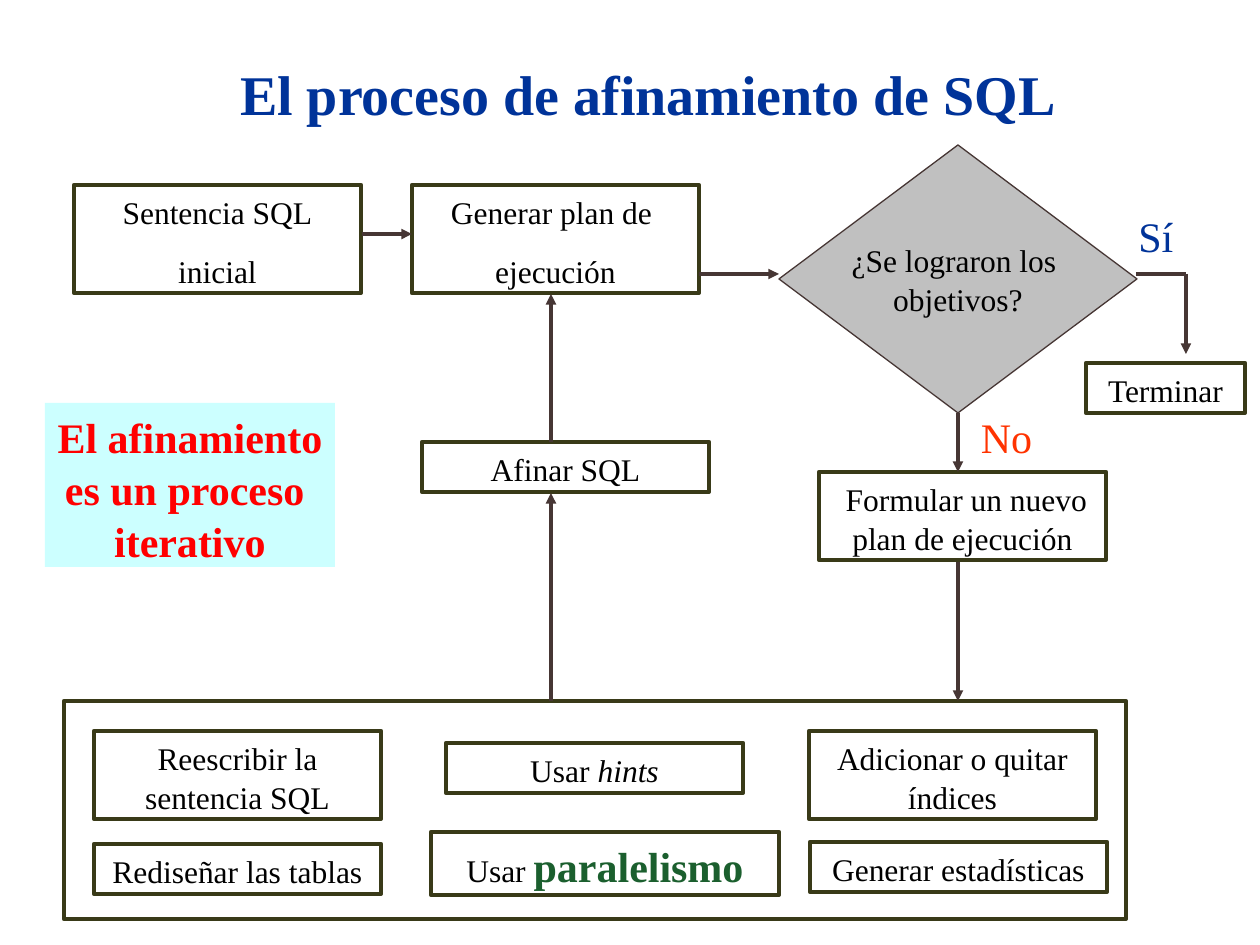
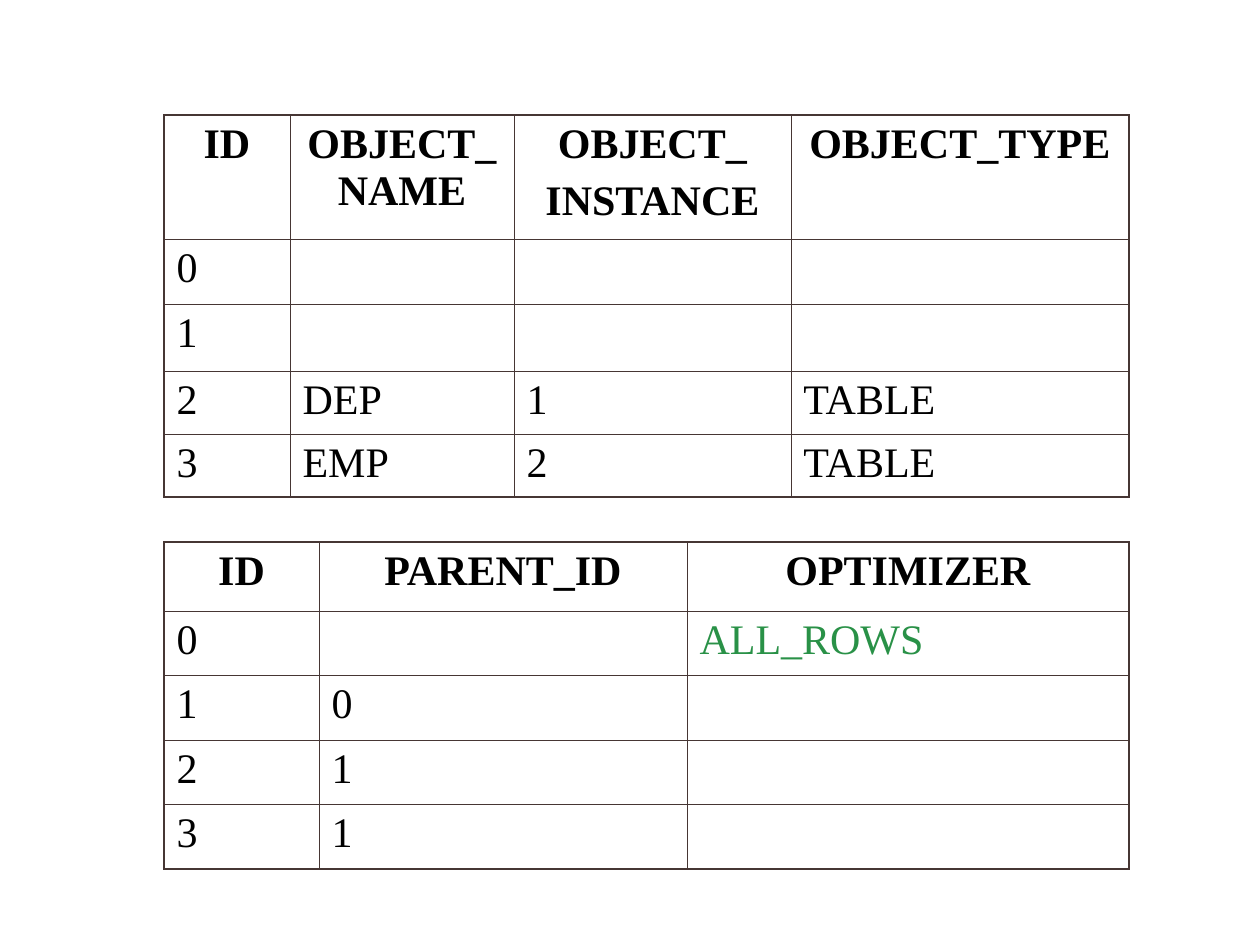
from lxml.etree import SubElement
from pptx import Presentation
from pptx.dml.color import RGBColor
from pptx.enum.shapes import MSO_CONNECTOR, MSO_SHAPE
from pptx.enum.text import MSO_ANCHOR, MSO_AUTO_SIZE, PP_ALIGN
from pptx.oxml.ns import qn
from pptx.util import Inches, Pt

PX = 7257  # EMU per px, 126 px to the inch
FONT = "Times New Roman"
BLACK, BLUE, RED, ORANGE = "000000", "003399", "FF0000", "FF3300"
DARK, GREEN, OLIVE, BROWN = "1B5F2E", "299147", "393A18", "463634"
GRAY, CYAN = "C0C0C0", "CCFFFF"
hue = RGBColor.from_string


def write(frame, text, size=18, color=BLACK, bold=False, italic=False,
          align=PP_ALIGN.CENTER, before=0, pitch=1.04, join=False):
    """Write one paragraph per line of text; join goes on in the last one."""
    for i, line in enumerate(text.split("\n")):
        if join:
            para = frame.paragraphs[-1]
        else:
            para = frame.add_paragraph() if i else frame.paragraphs[0]
            para.alignment = align
            para.space_before = Pt(before)
            para.line_spacing = pitch
        run = para.add_run()
        run.text = line
        font = run.font
        font.name, font.size = FONT, Pt(size)
        font.bold, font.italic = bold, italic
        font.color.rgb = hue(color)


def draw(slide, kind, x, y, w, h, fill=None, line=None, width=2.5):
    shape = slide.shapes.add_shape(kind, x * PX, y * PX, w * PX, h * PX)
    shape.shadow.inherit = False
    if fill:
        shape.fill.solid()
        shape.fill.fore_color.rgb = hue(fill)
    else:
        shape.fill.background()
    if line:
        shape.line.color.rgb = hue(line)
        shape.line.width = Pt(width)
    else:
        shape.line.fill.background()
    shape.text_frame.vertical_anchor = MSO_ANCHOR.TOP
    return shape


deck = Presentation()
deck.slide_width, deck.slide_height = Inches(10), Inches(7.5)
blank = deck.slide_layouts[6]

# Slide 1: the tuning flow
flow = deck.slides.add_slide(blank)
title = flow.shapes.add_textbox(113 * PX, 26 * PX, 1071 * PX, 131 * PX).text_frame
title.word_wrap = True
title.vertical_anchor = MSO_ANCHOR.MIDDLE
write(title, "El proceso de afinamiento de SQL", size=32, color=BLUE, bold=True)

draw(flow, MSO_SHAPE.RECTANGLE, 64, 701, 1062, 218, line=OLIVE)

steps = [
    ("Sentencia SQL\ninicial", 74, 185, 287, 108),
    ("Generar plan de \nejecución", 412, 185, 287, 108),
    ("Afinar SQL", 422, 442, 287, 50),
    (" Formular un nuevo plan de ejecución", 819, 472, 287, 88),
    ("Terminar", 1086, 363, 159, 50),
    ("Reescribir la sentencia SQL", 94, 731, 287, 88),
    ("Rediseñar las tablas", 94, 844, 287, 50),
    ("Usar ", 446, 743, 297, 50, "hints", dict(italic=True)),
    ("Usar ", 431, 832, 348, 63, "paralelismo",
     dict(size=24, color=DARK, bold=True)),
    ("Adicionar o quitar índices", 809, 731, 287, 88),
    ("Generar estadísticas", 810, 842, 297, 50),
]
for text, x, y, w, h, *more in steps:
    frame = draw(flow, MSO_SHAPE.RECTANGLE, x, y, w, h, line=OLIVE).text_frame
    frame.word_wrap = True
    frame.auto_size = MSO_AUTO_SIZE.SHAPE_TO_FIT_TEXT
    write(frame, text, before=11.2)
    if more:
        write(frame, more[0], join=True, **more[1])

test = draw(flow, MSO_SHAPE.DIAMOND, 779, 145, 358, 268, GRAY, BROWN, 0.75)
test.text_frame.word_wrap = False
test.text_frame.vertical_anchor = MSO_ANCHOR.MIDDLE
write(test.text_frame, "¿Se lograron los \nobjetivos?")

notes = [
    ("No", 968, 403, 77, 63, None, ORANGE, False),
    ("Sí", 1126, 202, 60, 63, None, BLUE, False),
    ("El afinamiento\nes un proceso \niterativo", 45, 403, 290, 164, CYAN, RED, True),
]
for text, x, y, w, h, fill, color, bold in notes:
    frame = draw(flow, MSO_SHAPE.RECTANGLE, x, y, w, h, fill).text_frame
    frame.word_wrap = False
    frame.auto_size = MSO_AUTO_SIZE.SHAPE_TO_FIT_TEXT
    write(frame, text, size=24, color=color, bold=bold)

links = [
    (362, 234, 412, 234, True),
    (699, 274, 779, 274, True),
    (958, 413, 958, 472, True),
    (958, 562, 958, 701, True),
    (551, 701, 551, 493, True),
    (551, 442, 551, 294, True),
    (1136, 274, 1186, 274, False),
    (1186, 274, 1186, 354, True),
]
for x1, y1, x2, y2, head in links:
    link = flow.shapes.add_connector(
        MSO_CONNECTOR.STRAIGHT, x1 * PX, y1 * PX, x2 * PX, y2 * PX)
    link.line.color.rgb = hue(BROWN)
    link.line.width = Pt(2)
    if head:
        SubElement(link.line._get_or_add_ln(), qn("a:tailEnd"), type="triangle")
    SubElement(link._element.spPr, qn("a:effectLst"))
    if (x1, y1) == (958, 413):
        link.begin_connect(test, 2)

# Slide 2: the plan tables
plan = deck.slides.add_slide(blank)
tables = [
    (115, [126, 224, 277, 338], [124, 65, 67, 63, 63], [
        ["ID", "OBJECT_NAME", "OBJECT_\nINSTANCE", "OBJECT_TYPE"],
        ["0", "", "", ""],
        ["1", "", "", ""],
        ["2", "DEP", "1", "TABLE"],
        ["3", "EMP", "2", "TABLE"],
    ]),
    (542, [155, 368, 442], [69, 64, 65, 64, 65], [
        ["ID", "PARENT_ID", "OPTIMIZER"],
        ["0", "", "ALL_ROWS"],
        ["1", "0", ""],
        ["2", "1", ""],
        ["3", "1", ""],
    ]),
]
for top, cols, rows, data in tables:
    grid = plan.shapes.add_table(
        len(rows), len(cols), 164 * PX, top * PX,
        sum(cols) * PX, sum(rows) * PX).table
    grid.first_row = grid.horz_banding = False
    for c, w in enumerate(cols):
        grid.columns[c].width = w * PX
    for r, h in enumerate(rows):
        grid.rows[r].height = h * PX
        for c, text in enumerate(data[r]):
            cell = grid.cell(r, c)
            props = cell._tc.get_or_add_tcPr()
            edges = {"L": c == 0, "R": c == len(cols) - 1,
                     "T": r == 0, "B": r == len(rows) - 1}
            for side, outer in edges.items():
                edge = SubElement(props, qn("a:ln" + side),
                                  w=str(Pt(1.08 if outer else 0.45)))
                paint = SubElement(edge, qn("a:solidFill"))
                SubElement(paint, qn("a:srgbClr"), val=BROWN)
            cell.fill.background()
            if text:
                write(cell.text_frame, text, size=24, bold=r == 0, before=6, pitch=1.0,
                      color=GREEN if text == "ALL_ROWS" else BLACK,
                      align=PP_ALIGN.LEFT if r else PP_ALIGN.CENTER)

deck.save("out.pptx")
